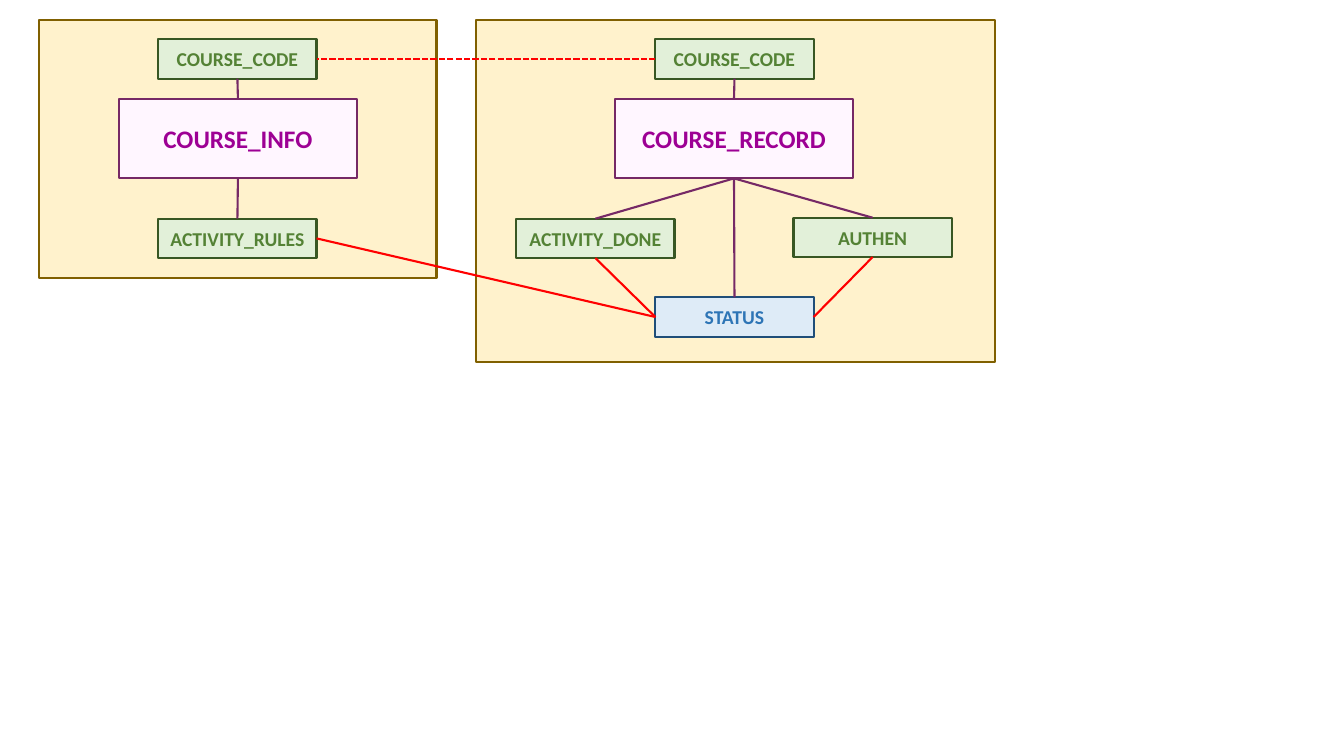
from lxml import etree
from pptx import Presentation
from pptx.dml.color import RGBColor
from pptx.enum import dml, shapes, text
from pptx.oxml.ns import qn
from pptx.util import Inches, Pt

PANEL_FILL, PANEL_LINE = RGBColor(0xFF, 0xF2, 0xCC), RGBColor(0x80, 0x60, 0x00)
ENTITY_FILL, ENTITY_LINE = RGBColor(0xFF, 0xF6, 0xFF), RGBColor(0x76, 0x29, 0x66)
ENTITY_TEXT = RGBColor(0x9D, 0x00, 0x94)
FIELD_FILL, FIELD_LINE = RGBColor(0xE2, 0xF0, 0xD9), RGBColor(0x38, 0x57, 0x23)
FIELD_TEXT = RGBColor(0x54, 0x82, 0x35)
STATUS_FILL, STATUS_LINE = RGBColor(0xDE, 0xEB, 0xF7), RGBColor(0x1F, 0x4E, 0x79)
STATUS_TEXT = RGBColor(0x2E, 0x75, 0xB6)
RELATION = RGBColor(0xFF, 0x00, 0x00)

PANEL = dict(fill=PANEL_FILL, line=PANEL_LINE)
ENTITY = dict(width=2.36, height=0.79, fill=ENTITY_FILL, line=ENTITY_LINE,
              color=ENTITY_TEXT, size=18)
FIELD = dict(width=1.57, height=0.39, fill=FIELD_FILL, line=FIELD_LINE,
             color=FIELD_TEXT, size=14)
STATUS = dict(FIELD, fill=STATUS_FILL, line=STATUS_LINE, color=STATUS_TEXT)

TOP, LEFT, BOTTOM, RIGHT = range(4)  # connection sites of a rectangle

prs = Presentation()
prs.slide_width, prs.slide_height = Inches(13.33), Inches(7.5)
slide = prs.slides.add_slide(prs.slide_layouts[6])


def add_box(label, left, top, *, width, height, fill, line, color=None, size=None):
    box = slide.shapes.add_shape(shapes.MSO_SHAPE.RECTANGLE, Inches(left),
                                 Inches(top), Inches(width), Inches(height))
    box.shadow.inherit = False
    box.fill.solid()
    box.fill.fore_color.rgb = fill
    box.line.color.rgb = line
    box.line.width = Pt(1.5)
    if label:
        frame = box.text_frame
        frame.word_wrap = True
        frame.margin_left = frame.margin_right = Inches(0.05)
        frame.vertical_anchor = text.MSO_ANCHOR.MIDDLE
        paragraph = frame.paragraphs[0]
        paragraph.alignment = text.PP_ALIGN.CENTER
        run = paragraph.add_run()
        run.text = label
        run.font.name = "Calibri"
        run.font.size = Pt(size)
        run.font.bold = True
        run.font.color.rgb = color
    return box


# Background panels
add_box("", 4.72, 0.2, width=5.15, height=3.39, **PANEL)
add_box("", 0.39, 0.2, width=3.94, height=2.56, **PANEL)

# Course information
info = add_box("COURSE_INFO", 1.18, 0.98, **ENTITY)
info_code = add_box("COURSE_CODE", 1.57, 0.39, **FIELD)
rules = add_box("ACTIVITY_RULES", 1.57, 2.17, **FIELD)

# Course record
record = add_box("COURSE_RECORD", 6.1, 0.98, **ENTITY)
record_code = add_box("COURSE_CODE", 6.5, 0.39, **FIELD)
done = add_box("ACTIVITY_DONE", 5.12, 2.17, **FIELD)
authen = add_box("AUTHEN", 7.87, 2.16, **FIELD)
status = add_box("STATUS", 6.5, 2.95, **STATUS)

# Links: purple within an entity, red between fields
links = [
    (info_code, BOTTOM, info, TOP, ENTITY_LINE),
    (info, BOTTOM, rules, TOP, ENTITY_LINE),
    (record_code, BOTTOM, record, TOP, ENTITY_LINE),
    (record, BOTTOM, status, TOP, ENTITY_LINE),
    (record, BOTTOM, done, TOP, ENTITY_LINE),
    (record, BOTTOM, authen, TOP, ENTITY_LINE),
    (record_code, LEFT, info_code, RIGHT, RELATION),
    (rules, RIGHT, status, LEFT, RELATION),
    (status, LEFT, done, BOTTOM, RELATION),
    (status, RIGHT, authen, BOTTOM, RELATION),
]
for start, start_site, end, end_site, color in links:
    link = slide.shapes.add_connector(shapes.MSO_CONNECTOR.STRAIGHT, 0, 0, 0, 0)
    link.begin_connect(start, start_site)
    link.end_connect(end, end_site)
    link.line.color.rgb = color
    link.line.width = Pt(1.5)
    if start is record_code and end is info_code:
        link.line.dash_style = dml.MSO_LINE.SQUARE_DOT
    etree.SubElement(link._element.spPr, qn("a:effectLst"))

prs.save("out.pptx")
